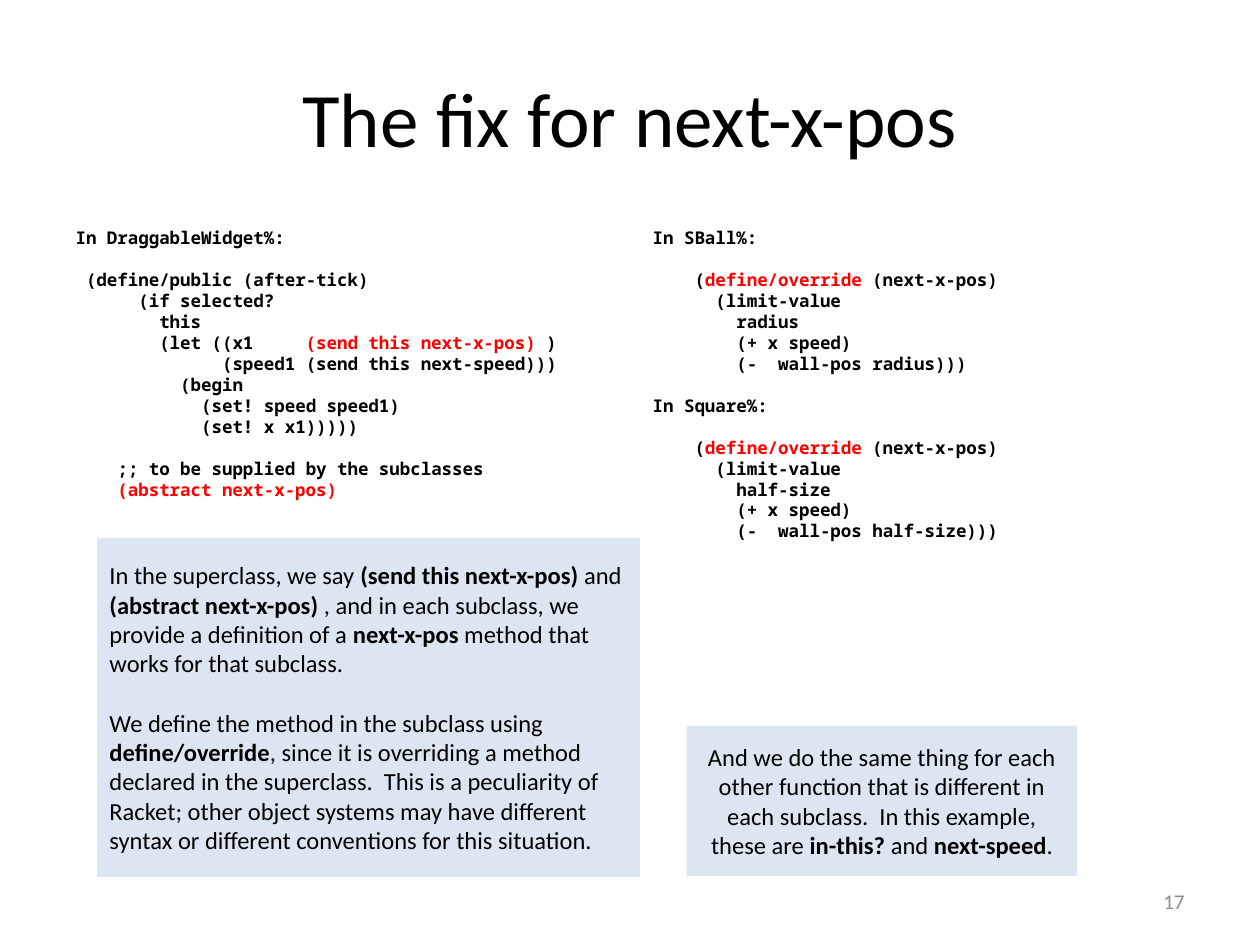
from pptx import Presentation
from pptx import util as u
from pptx.dml.color import RGBColor
from pptx.enum import shapes, text
from lxml import etree

THEME = {
    "prose": "Calibri", "code": "Noto Sans Mono",
    "ink": RGBColor(0, 0, 0), "accent": RGBColor(255, 0, 0),
    "panel": RGBColor(0xDC, 0xE6, 0xF2), "muted": RGBColor(0x8C, 0x8C, 0x8C),
    "title_size": 44, "note_size": 14, "number_size": 12, "code_size": 10,
    "code_pitch": 12, "note_gap": 17,
}

deck = Presentation()
deck.slide_width, deck.slide_height = u.Inches(10), u.Inches(7.5)
COLUMN, ROW = deck.slide_width / 100, deck.slide_height / 100
page = deck.slides.add_slide(deck.slide_layouts[3])


def place(box, left, top, width, height, anchor):
    box.left, box.width = round(left * COLUMN), round(width * COLUMN)
    box.top, box.height = round(top * ROW), round(height * ROW)
    frame = box.text_frame
    frame.word_wrap = True
    frame.auto_size = text.MSO_AUTO_SIZE.NONE
    frame.vertical_anchor = anchor
    return frame


def write(frame, lines, font, size, color, align, gap=0, is_code=False):
    space = 0
    first = True
    for line in lines.split("\n"):
        if not line:
            space = gap
            continue
        para = frame.paragraphs[0] if first else frame.add_paragraph()
        first = False
        para.alignment = align
        para.space_before = u.Pt(space)
        space = 0
        if is_code:
            para.line_spacing = u.Pt(THEME["code_pitch"])
            properties = para._p.get_or_add_pPr()
            properties.set("marL", "0")
            properties.set("indent", "0")
            etree.SubElement(properties, properties.tag.replace("pPr", "buNone"))
        for index, part in enumerate(line.split("|")):
            if not part:
                continue
            marked = index % 2 == 1
            span = para.add_run()
            span.text = part
            span.font.name = font
            span.font.size = u.Pt(size)
            span.font.bold = is_code or marked
            span.font.color.rgb = THEME["accent"] if is_code and marked else color


title = place(page.shapes.title, 5, 4, 90, 16.67, text.MSO_ANCHOR.MIDDLE)
write(title, "The fix for next-x-pos", THEME["prose"], THEME["title_size"],
      THEME["ink"], text.PP_ALIGN.CENTER)

superclass_code = """In DraggableWidget%:

 (define/public (after-tick)
      (if selected?
        this
        (let ((x1     |(send this next-x-pos) |)
              (speed1 (send this next-speed)))
          (begin
            (set! speed speed1)
            (set! x x1)))))

    ;; to be supplied by the subclasses
    |(abstract next-x-pos)|"""

override = """In {}:

    (|define/override| (next-x-pos)
      (limit-value
        {}
        (+ x speed)
        (-  wall-pos {})))"""
subclasses = [("SBall%", "radius"), ("Square%", "half-size")]
subclass_code = "\n\n".join(
    override.format(name, extent, extent) for name, extent in subclasses)

for index, code in enumerate([superclass_code, subclass_code], start=1):
    frame = place(page.placeholders[index], 5 + 45.8 * (index - 1), 23.33,
                  44.2, 66, text.MSO_ANCHOR.TOP)
    write(frame, code, THEME["code"], THEME["code_size"], THEME["ink"],
          text.PP_ALIGN.LEFT, THEME["code_pitch"], True)

number = place(page.shapes.add_textbox(0, 0, 0, 0), 71.7, 92.67, 23.3, 5.33,
               text.MSO_ANCHOR.MIDDLE)
write(number, "17", THEME["prose"], THEME["number_size"], THEME["muted"],
      text.PP_ALIGN.RIGHT)

explanation = (
    "In the superclass, we say |(send this next-x-pos) |and "
    "|(abstract next-x-pos) |, and in each subclass, we provide a definition "
    "of a |next-x-pos| method that works for that subclass.\n\n"
    "We define the method in the subclass using |define/override|, since it is "
    "overriding a method declared in the superclass.  This is a peculiarity of "
    "Racket; other object systems may have different syntax or different "
    "conventions for this situation.")
remark = (
    "And we do the same thing for each other function that is different in "
    "each subclass.  In this example,\n"
    "these are |in-this? |and |next-speed|.")
notes = [
    (explanation, 7.7, 56.93, 43.1, 35.87, text.PP_ALIGN.LEFT),
    (remark, 54.5, 76.8, 31, 15.9, text.PP_ALIGN.CENTER),
]
for words, left, top, width, height, align in notes:
    note = page.shapes.add_shape(shapes.MSO_SHAPE.RECTANGLE, 0, 0, 0, 0)
    note.shadow.inherit = False
    note.fill.solid()
    note.fill.fore_color.rgb = THEME["panel"]
    note.line.fill.background()
    frame = place(note, left, top, width, height, text.MSO_ANCHOR.MIDDLE)
    write(frame, words, THEME["prose"], THEME["note_size"], THEME["ink"],
          align, THEME["note_gap"])

deck.save("out.pptx")
